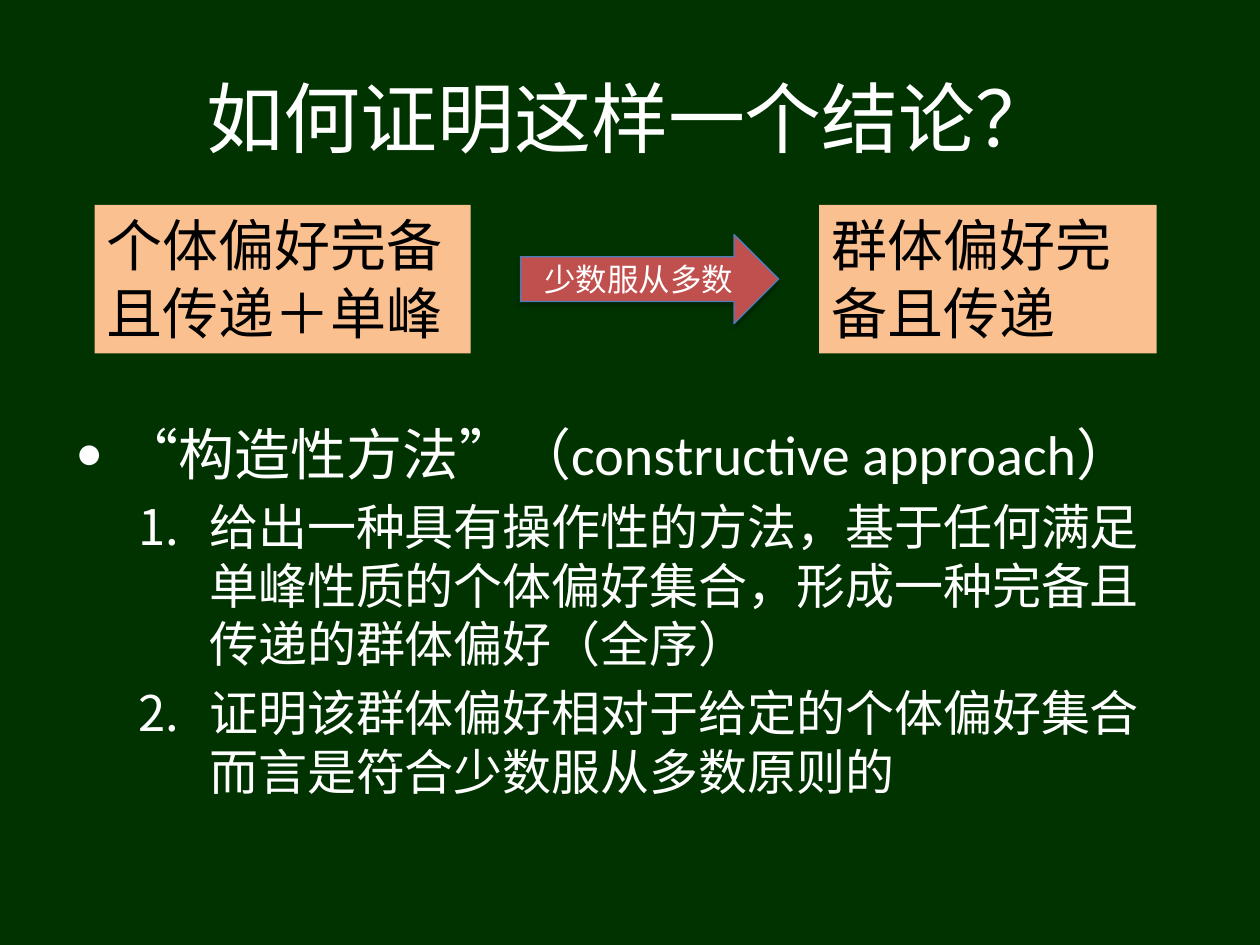
import pptx
import pptx.util
import pptx.dml.color
import pptx.enum.dml
import pptx.enum.lang
import pptx.enum.shapes
import pptx.enum.text
import pptx.oxml
import pptx.oxml.ns
from dataclasses import dataclass
from lxml import etree

Pt = pptx.util.Pt
qn = pptx.oxml.ns.qn
Kind = pptx.enum.shapes.MSO_SHAPE
Align = pptx.enum.text.PP_ALIGN
Anchor = pptx.enum.text.MSO_ANCHOR


@dataclass(frozen=True)
class Theme:
    back: str = "003300"
    light: str = "FFFFFF"
    dark: str = "000000"
    card: str = "FAC090"
    arrow: str = "C0504D"
    edge: str = "4B7EBC"
    latin: str = "Calibri"
    cjk: str = "Noto Sans CJK SC"
    title: int = 44
    lead: int = 32
    step: int = 28
    label: int = 18


def rgb(code):
    return pptx.dml.color.RGBColor.from_string(code)


class Deck:
    def __init__(self, theme):
        self.theme = theme
        self.file = pptx.Presentation()
        self.file.slide_width, self.file.slide_height = Pt(720), Pt(540)
        self.slide = self.file.slides.add_slide(self.file.slide_layouts[6])
        fill = self.slide.background.fill
        fill.solid()
        fill.fore_color.rgb = rgb(theme.back)

    def run(self, para, text, size, color, face=None):
        part = para.add_run()
        part.text = text
        font = part.font
        font.size = Pt(size)
        font.color.rgb = rgb(color)
        font.name = face or self.theme.cjk
        font.language_id = pptx.enum.lang.MSO_LANGUAGE_ID.SIMPLIFIED_CHINESE
        east = etree.Element(qn("a:ea"), typeface=self.theme.cjk)
        font._element.find(qn("a:latin")).addnext(east)

    def box(self, left, top, width, height, anchor=Anchor.TOP):
        frame = self.slide.shapes.add_textbox(
            Pt(left), Pt(top), Pt(width), Pt(height)).text_frame
        frame.word_wrap = True
        frame.vertical_anchor = anchor
        return frame

    def shape(self, kind, left, top, width, height, fill):
        item = self.slide.shapes.add_shape(
            kind, Pt(left), Pt(top), Pt(width), Pt(height))
        item.shadow.inherit = False
        item.fill.solid()
        item.fill.fore_color.rgb = rgb(fill)
        item.text_frame.word_wrap = True
        return item

    def title(self, text):
        frame = self.box(36, 21.6, 648, 90, Anchor.MIDDLE)
        para = frame.paragraphs[0]
        para.alignment = Align.CENTER
        self.run(para, text, self.theme.title, self.theme.light)

    def card(self, text, left, width):
        item = self.shape(Kind.RECTANGLE, left, 117, width, 85, self.theme.card)
        item.line.fill.background()
        item.text_frame.vertical_anchor = Anchor.TOP
        para = item.text_frame.paragraphs[0]
        para.alignment = Align.LEFT
        self.run(para, text, self.theme.lead, self.theme.dark)

    def arrow(self, text, left, top, width, height):
        item = self.shape(Kind.RIGHT_ARROW, left, top, width, height,
                          self.theme.arrow)
        item.line.color.rgb = rgb(self.theme.edge)
        item.line.width = Pt(0.75)
        self.shade(item)
        item.text_frame.vertical_anchor = Anchor.MIDDLE
        para = item.text_frame.paragraphs[0]
        para.alignment = Align.CENTER
        self.run(para, text, self.theme.label, self.theme.light)

    def shade(self, item):
        """Give the shape a soft shadow straight below it."""
        glow = item._element.spPr.find(qn("a:effectLst"))
        cast = etree.SubElement(
            glow, qn("a:outerShdw"), blurRad=str(Pt(3.1)), dist=str(Pt(1.8)),
            dir=str(90 * 60000), rotWithShape="0")
        tint = etree.SubElement(cast, qn("a:srgbClr"), val=self.theme.dark)
        etree.SubElement(tint, qn("a:alpha"), val="35000")

    def mark(self, para, tag, left, hang, **attrs):
        """Set a hanging indent with a bullet or a number."""
        props = para._p.get_or_add_pPr()
        props.set("marL", str(Pt(left)))
        props.set("indent", str(Pt(-hang)))
        etree.SubElement(props, qn("a:buFont"), typeface=self.theme.latin)
        etree.SubElement(props, qn(tag), **attrs)

    def body(self, lead, steps):
        look = self.theme
        frame = self.box(36, 236, 648, 266.4)
        para = frame.paragraphs[0]
        self.mark(para, "a:buChar", 27, 27, char="•")
        for text, face in lead:
            self.run(para, text, look.lead, look.light, face)
        for text in steps:
            para = frame.add_paragraph()
            para.level = 1
            self.mark(para, "a:buAutoNum", 76.5, 40.5, type="arabicPeriod")
            para.space_before = Pt(look.step * 0.2)
            self.run(para, text, look.step, look.light)


def main():
    theme = Theme()
    deck = Deck(theme)
    deck.title("如何证明这样一个结论？")
    deck.body(
        [("“", theme.latin),
         ("构造性方法", theme.cjk),
         ("”（constructive approach）", theme.latin)],
        ["给出一种具有操作性的方法，基于任何满足单峰性质的个体偏好集合，"
         "形成一种完备且传递的群体偏好（全序）",
         "证明该群体偏好相对于给定的个体偏好集合而言是符合少数服从多数原则的"])
    deck.card("个体偏好完备且传递＋单峰", 54, 215)
    deck.card("群体偏好完备且传递", 468, 193)
    deck.arrow("少数服从多数", 297.5, 134, 147.5, 51)
    deck.file.save("out.pptx")


if __name__ == "__main__":
    main()
